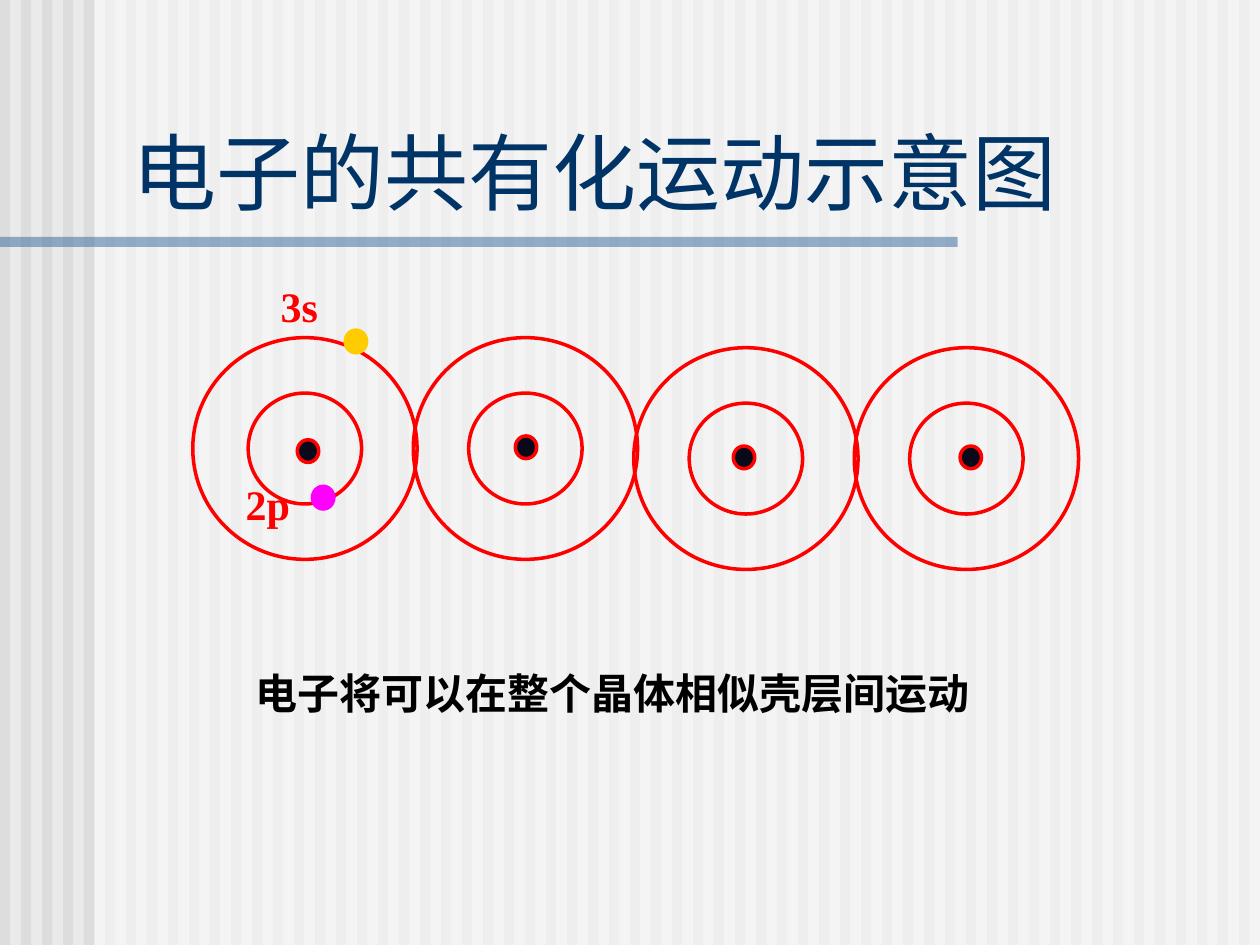
import pptx
import pptx.util
import pptx.dml.color
import pptx.enum.shapes
import pptx.enum.text
import pptx.oxml.ns
from lxml import etree
from pptx.util import Inches

COLORS = {
    "background": "EAEAEA",
    "stripe": "DDDDDD",
    "veil": "FFFFFF",
    "rule": "336699",
    "title": "003366",
    "shell": "FF0000",
    "nucleus": "090919",
    "electron_3s": "FFCC00",
    "electron_2p": "FF00FF",
    "caption": "000000",
}
SHAPE = pptx.enum.shapes.MSO_SHAPE
ANCHOR = pptx.enum.text.MSO_ANCHOR
qn = pptx.oxml.ns.qn


def rgb(name):
    return pptx.dml.color.RGBColor.from_string(COLORS[name])


def add_shape(s, kind, left, top, width, height, fill=None, line=None, alpha=None):
    sp = s.shapes.add_shape(kind, Inches(left), Inches(top), Inches(width), Inches(height))
    sp.shadow.inherit = False
    if fill:
        sp.fill.solid()
        sp.fill.fore_color.rgb = rgb(fill)
    else:
        sp.fill.background()
    if line:
        sp.line.color.rgb = rgb(line)
        sp.line.width = pptx.util.Pt(2)
    else:
        sp.line.fill.background()
    if alpha:
        color = sp.fill._xPr.find(".//" + qn("a:srgbClr"))
        etree.SubElement(color, qn("a:alpha"), val=str(alpha * 1000))
    return sp


def set_text(sp, text, size, color, font="Times New Roman", bold=True, wrap=True,
             anchor=ANCHOR.TOP):
    tf = sp.text_frame
    tf.word_wrap = wrap
    tf.vertical_anchor = anchor
    p = tf.paragraphs[0]
    p.alignment = pptx.enum.text.PP_ALIGN.LEFT
    r = p.add_run()
    r.text = text
    r.font.size = pptx.util.Pt(size)
    r.font.name = font
    r.font.bold = bold
    r.font.color.rgb = rgb(color)


def add_label(s, text, left, top, width, color, wrap=True):
    sp = s.shapes.add_textbox(Inches(left), Inches(top), Inches(width), Inches(0.5))
    set_text(sp, text, 24, color, wrap=wrap)


def add_dot(s, left, top, fill, line):
    add_shape(s, SHAPE.FLOWCHART_CONNECTOR, left, top, 0.17, 0.18, fill, line)


def add_backdrop(s):
    s.background.fill.solid()
    s.background.fill.fore_color.rgb = rgb("background")
    for i in range(60):
        add_shape(s, SHAPE.RECTANGLE, i / 6, 0, 0.08, 7.5, "stripe")
    add_shape(s, SHAPE.RECTANGLE, 0.75, 0, 9.25, 7.5, "veil", alpha=50)
    add_shape(s, SHAPE.RECTANGLE, 0, 1.88, 7.6, 0.08, "rule", alpha=50)


def add_title(s, text):
    sp = s.shapes.title
    sp.left, sp.top = Inches(0.95), Inches(0.94)
    sp.width, sp.height = Inches(8.93), Inches(0.83)
    set_text(sp, text, 48, "title", font="DejaVu Sans", bold=False, anchor=ANCHOR.MIDDLE)
    s.shapes._spTree.append(sp._element)


def add_atoms(s):
    atoms = [(2.68, 2.36, 3.49), (2.68, 4.09, 3.46), (2.76, 5.82, 3.54), (2.76, 7.62, 3.54)]
    for i, (top, nucleus_left, nucleus_top) in enumerate(atoms):
        shells = add_shape(s, SHAPE.DONUT, 1.53 + 1.75 * i, top, 1.78, 1.76, line="shell")
        shells.adjustments[0] = 0.25
        add_dot(s, nucleus_left, nucleus_top, "nucleus", "shell")


def main():
    prs = pptx.Presentation()
    prs.slide_width, prs.slide_height = Inches(10), Inches(7.5)
    s = prs.slides.add_slide(prs.slide_layouts[5])
    add_backdrop(s)
    add_title(s, "电子的共有化运动示意图")
    add_atoms(s)
    add_label(s, "2p", 1.85, 3.75, 0.78, "shell")
    add_label(s, "3s", 2.13, 2.18, 0.93, "shell")
    add_dot(s, 2.74, 2.62, "electron_3s", "electron_3s")
    add_dot(s, 2.48, 3.86, "electron_2p", "electron_2p")
    add_label(s, "电子将可以在整个晶体相似壳层间运动", 1.93, 5.25, 5.9, "caption", wrap=False)
    prs.save("out.pptx")


if __name__ == "__main__":
    main()
